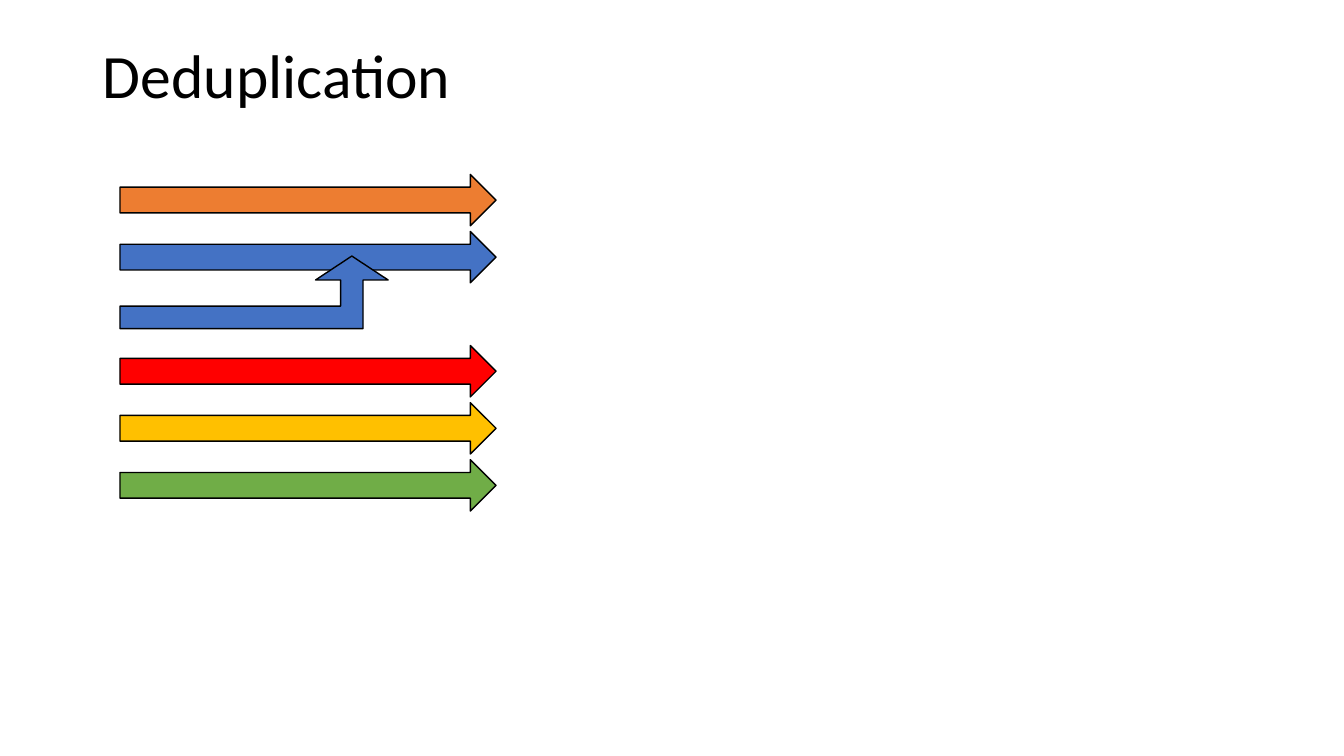
"""Build the deduplication slide."""
import pptx
import pptx.dml.color
import pptx.enum.shapes
import pptx.enum.text
import pptx.util

Inches = pptx.util.Inches
RGBColor = pptx.dml.color.RGBColor
Arrow = pptx.enum.shapes.MSO_SHAPE

BLACK = RGBColor(0x00, 0x00, 0x00)
ORANGE = RGBColor(0xED, 0x7D, 0x31)
BLUE = RGBColor(0x44, 0x72, 0xC4)
RED = RGBColor(0xFF, 0x00, 0x00)
YELLOW = RGBColor(0xFF, 0xC0, 0x00)
GREEN = RGBColor(0x70, 0xAD, 0x47)

STREAM_LEFT = 1.19
FIRST_TOP = 1.73
LAST_TOP = 4.56
STREAM_COLORS = [ORANGE, BLUE, None, RED, YELLOW, GREEN]


def set_title(slide, text):
    """Place and format the slide title."""
    title = slide.shapes.title
    title.left, title.top = Inches(0.92), Inches(0.4)
    title.width, title.height = Inches(11.5), Inches(1.45)
    frame = title.text_frame
    frame.text = text
    frame.word_wrap = True
    frame.auto_size = pptx.enum.text.MSO_AUTO_SIZE.NONE
    frame.vertical_anchor = pptx.enum.text.MSO_ANCHOR.TOP
    para = frame.paragraphs[0]
    para.alignment = pptx.enum.text.PP_ALIGN.LEFT
    para.line_spacing = 0.9
    font = para.runs[0].font
    font.name = "Calibri"
    font.size = pptx.util.Pt(44)
    font.color.rgb = BLACK


def add_arrow(group, preset, top, width, height, color):
    """Add an outlined block arrow that starts at the common left edge."""
    arrow = group.shapes.add_shape(
        preset, Inches(STREAM_LEFT), Inches(top), Inches(width), Inches(height)
    )
    arrow.shadow.inherit = False
    arrow.fill.solid()
    arrow.fill.fore_color.rgb = color
    arrow.line.color.rgb = BLACK
    arrow.line.width = pptx.util.Pt(1)
    return arrow


def add_streams(slide):
    """Add the evenly spaced streams and the duplicate merging into its twin."""
    group = slide.shapes.add_group_shape()
    pitch = (LAST_TOP - FIRST_TOP) / (len(STREAM_COLORS) - 1)
    for row, color in enumerate(STREAM_COLORS):
        if color is not None:
            add_arrow(group, Arrow.RIGHT_ARROW, FIRST_TOP + row * pitch, 3.73, 0.51, color)
    duplicate = add_arrow(group, Arrow.BENT_UP_ARROW, 2.54, 2.66, 0.72, BLUE)
    for index, value in enumerate([0.31, 0.5, 0.33]):
        duplicate.adjustments[index] = value


def main():
    """Create the deck and save it."""
    deck = pptx.Presentation()
    deck.slide_width, deck.slide_height = Inches(13.33), Inches(7.5)
    slide = deck.slides.add_slide(deck.slide_layouts.get_by_name("Title Only"))
    set_title(slide, "Deduplication")
    add_streams(slide)
    deck.save("out.pptx")


if __name__ == "__main__":
    main()
